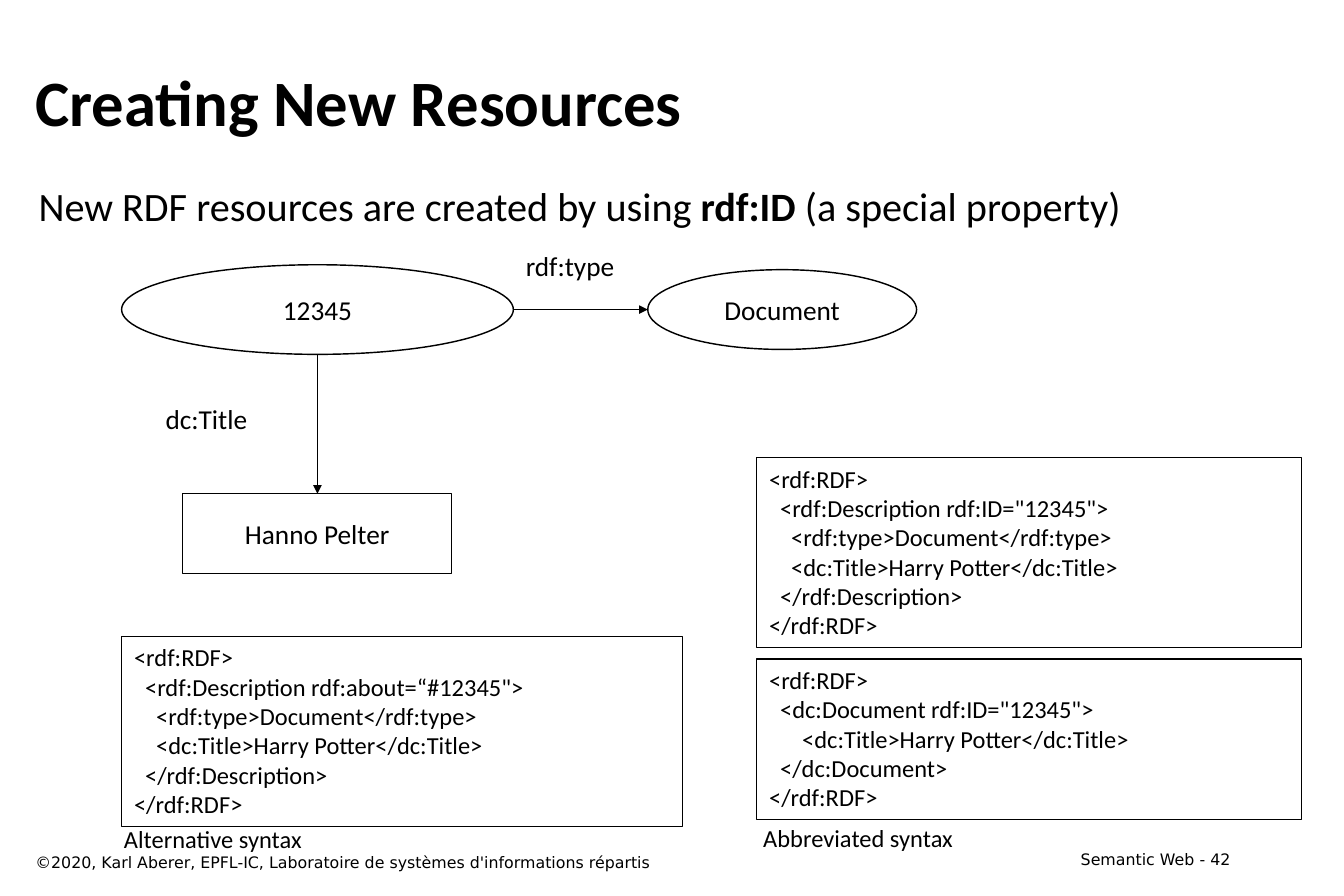
from dataclasses import dataclass

from lxml.etree import SubElement
from pptx import Presentation
from pptx.dml.color import RGBColor
from pptx.enum.shapes import MSO_CONNECTOR, MSO_SHAPE as Kind
from pptx.enum.text import MSO_ANCHOR as Anchor, MSO_AUTO_SIZE as Fit, PP_ALIGN as Align
from pptx.oxml.ns import qn
from pptx.util import Inches, Pt

BLACK = RGBColor(0, 0, 0)
WHITE = RGBColor(255, 255, 255)
SANS, FOOT = "Calibri", "DejaVu Sans"
WIDTH, HEIGHT = Inches(12.99), Inches(8.66)
COL, ROW = WIDTH / 100, HEIGHT / 100  # the grid has 100 columns and 100 rows


@dataclass
class Area:
    x: float
    y: float
    w: float
    h: float

    def place(self) -> tuple[int, int, int, int]:
        return (round(self.x * COL), round(self.y * ROW),
                round(self.w * COL), round(self.h * ROW))


@dataclass
class Label:
    area: Area
    text: str
    size: int
    face: str = SANS
    align: Align = Align.LEFT
    anchor: Anchor = Anchor.TOP
    wrap: bool = True


@dataclass
class Node:
    area: Area
    kind: Kind
    text: str


@dataclass
class Code:
    area: Area
    text: str


@dataclass
class Arrow:
    start: tuple[float, float]
    end: tuple[float, float]
    width: float


LABELS = [
    Label(Area(1.7, 4.5, 90.8, 13.4), "*Creating New Resources*", 45, anchor=Anchor.MIDDLE),
    Label(Area(1.95, 19.5, 90.8, 73.3),
          "New RDF resources are created by using *rdf:ID* (a special property)", 28),
    Label(Area(11.4, 44.2, 8.1, 5.1), "dc:Title", 19, wrap=False),
    Label(Area(38.2, 27.1, 8.5, 5.1), "rdf:type", 19, wrap=False),
    Label(Area(55.8, 91.2, 16.1, 4.7), "Abbreviated syntax", 17, align=Align.CENTER, wrap=False),
    Label(Area(8.3, 91.3, 29.9, 4.7), "Alternative syntax", 17),
    Label(Area(71.6, 94.1, 20.9, 3.3), "Semantic Web - 42", 11, FOOT, Align.RIGHT),
    Label(Area(1.7, 94.5, 64.2, 3.3),
          "©2020, Karl Aberer, EPFL-IC, Laboratoire de systèmes d'informations répartis", 11, FOOT),
]

SOURCE = Node(Area(9.05, 29.55, 29.15, 10), Kind.OVAL, "12345")
TITLE = Node(Area(13.6, 55.1, 20, 8.9), Kind.FLOWCHART_PROCESS, "Hanno Pelter")
CLASS = Node(Area(48.2, 30.1, 20, 8.9), Kind.OVAL, "Document")

MID_X = SOURCE.area.x + SOURCE.area.w / 2
MID_Y = SOURCE.area.y + SOURCE.area.h / 2
ARROWS = [
    Arrow((MID_X, SOURCE.area.y + SOURCE.area.h), (MID_X, TITLE.area.y), 1),
    Arrow((SOURCE.area.x + SOURCE.area.w, MID_Y), (CLASS.area.x, MID_Y), 0.75),
]

FULL = """<rdf:RDF>
  <rdf:Description {}>
    <rdf:type>Document</rdf:type>
    <dc:Title>Harry Potter</dc:Title>
  </rdf:Description>
</rdf:RDF>"""
SHORT = """<rdf:RDF>
  <dc:Document rdf:ID="12345">
      <dc:Title>Harry Potter</dc:Title>
  </dc:Document>
</rdf:RDF>"""
CODES = [
    Code(Area(56.3, 51.05, 40.55, 21.2), FULL.format('rdf:ID="12345"')),
    Code(Area(56.3, 73.55, 40.55, 17.9), SHORT),
    Code(Area(9.05, 71, 41.7, 21.2), FULL.format('rdf:about=“#12345"')),
]


def write(frame, text: str, size: int, face: str = SANS, align: Align = Align.LEFT,
          anchor: Anchor = Anchor.TOP, wrap: bool = True) -> None:
    """Fill a frame line by line; parts between asterisks are bold."""
    frame.margin_left = frame.margin_right = Inches(0.12)
    frame.margin_top = frame.margin_bottom = Inches(0.06)
    frame.word_wrap, frame.vertical_anchor = wrap, anchor
    for i, line in enumerate(text.split("\n")):
        para = frame.add_paragraph() if i else frame.paragraphs[0]
        para.alignment = align
        for j, part in enumerate(line.split("*")):
            if part:
                run = para.add_run()
                run.text = part
                font = run.font
                font.name, font.size, font.bold = face, Pt(size), j % 2 == 1
                font.color.rgb = BLACK


def add_label(slide, label: Label) -> None:
    frame = slide.shapes.add_textbox(*label.area.place()).text_frame
    write(frame, label.text, label.size, label.face, label.align, label.anchor, label.wrap)
    frame.auto_size = Fit.NONE if label.wrap else Fit.SHAPE_TO_FIT_TEXT


def add_box(slide, kind: Kind, area: Area, width: float):
    box = slide.shapes.add_shape(kind, *area.place())
    box.shadow.inherit = False
    box.line.color.rgb = BLACK
    box.line.width = Pt(width)
    return box


def add_node(slide, node: Node) -> None:
    box = add_box(slide, node.kind, node.area, 1)
    box.fill.solid()
    box.fill.fore_color.rgb = WHITE
    write(box.text_frame, node.text, 19, align=Align.CENTER, anchor=Anchor.MIDDLE, wrap=False)


def add_code(slide, code: Code) -> None:
    box = add_box(slide, Kind.RECTANGLE, code.area, 0.75)
    box.fill.background()
    write(box.text_frame, code.text, 17)


def add_arrow(slide, arrow: Arrow) -> None:
    ends = [round(n * unit) for point in (arrow.start, arrow.end)
            for n, unit in zip(point, (COL, ROW))]
    line = slide.shapes.add_connector(MSO_CONNECTOR.STRAIGHT, *ends)
    line.line.color.rgb = BLACK
    line.line.width = Pt(arrow.width)
    SubElement(line.line._get_or_add_ln(), qn("a:tailEnd"), type="triangle")
    SubElement(line._element.spPr, qn("a:effectLst"))


def main() -> None:
    deck = Presentation()
    deck.slide_width, deck.slide_height = WIDTH, HEIGHT
    slide = deck.slides.add_slide(deck.slide_layouts[6])
    for label in LABELS:
        add_label(slide, label)
    for node in (SOURCE, TITLE, CLASS):
        add_node(slide, node)
    for arrow in ARROWS:
        add_arrow(slide, arrow)
    for code in CODES:
        add_code(slide, code)
    deck.save("out.pptx")


if __name__ == "__main__":
    main()
